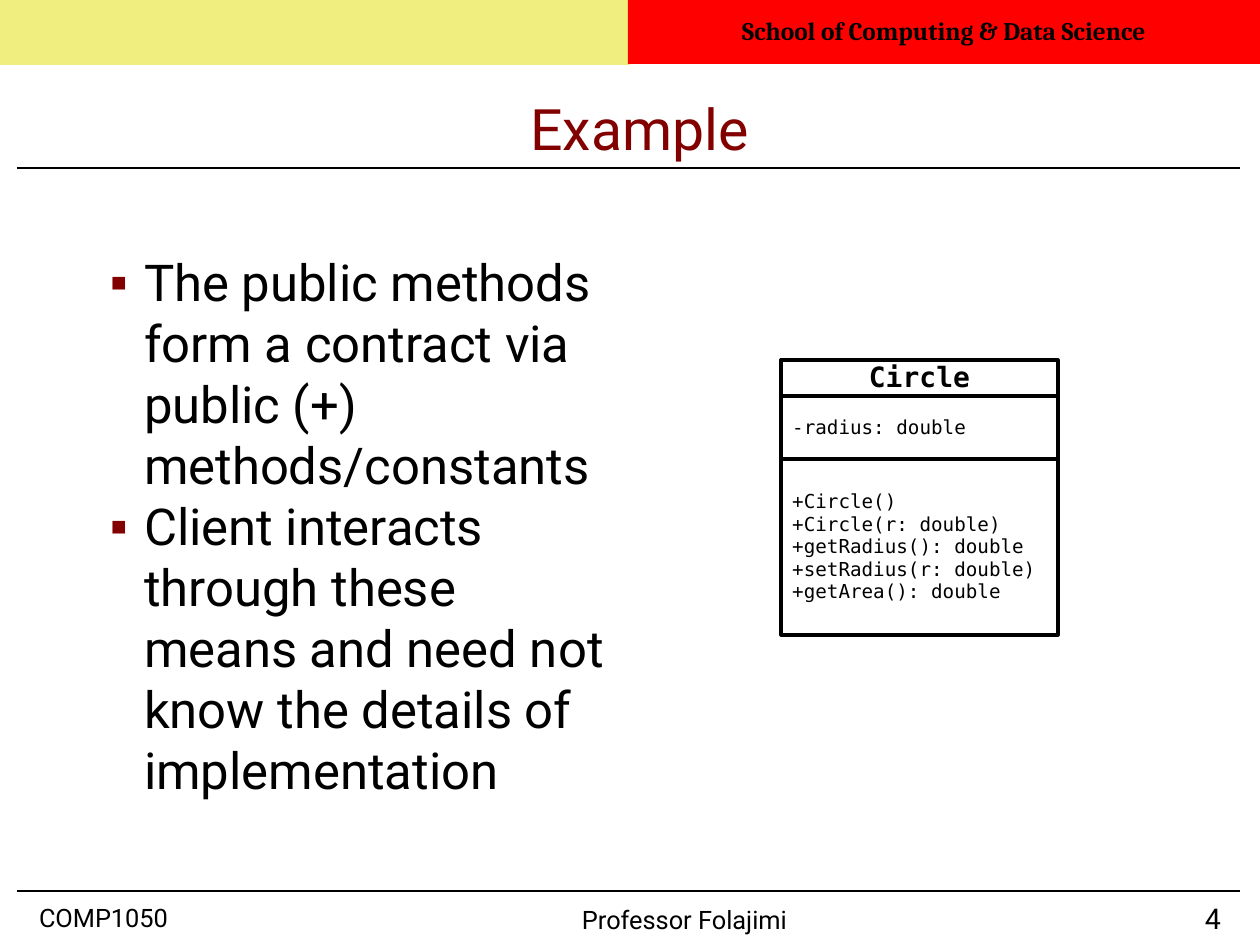
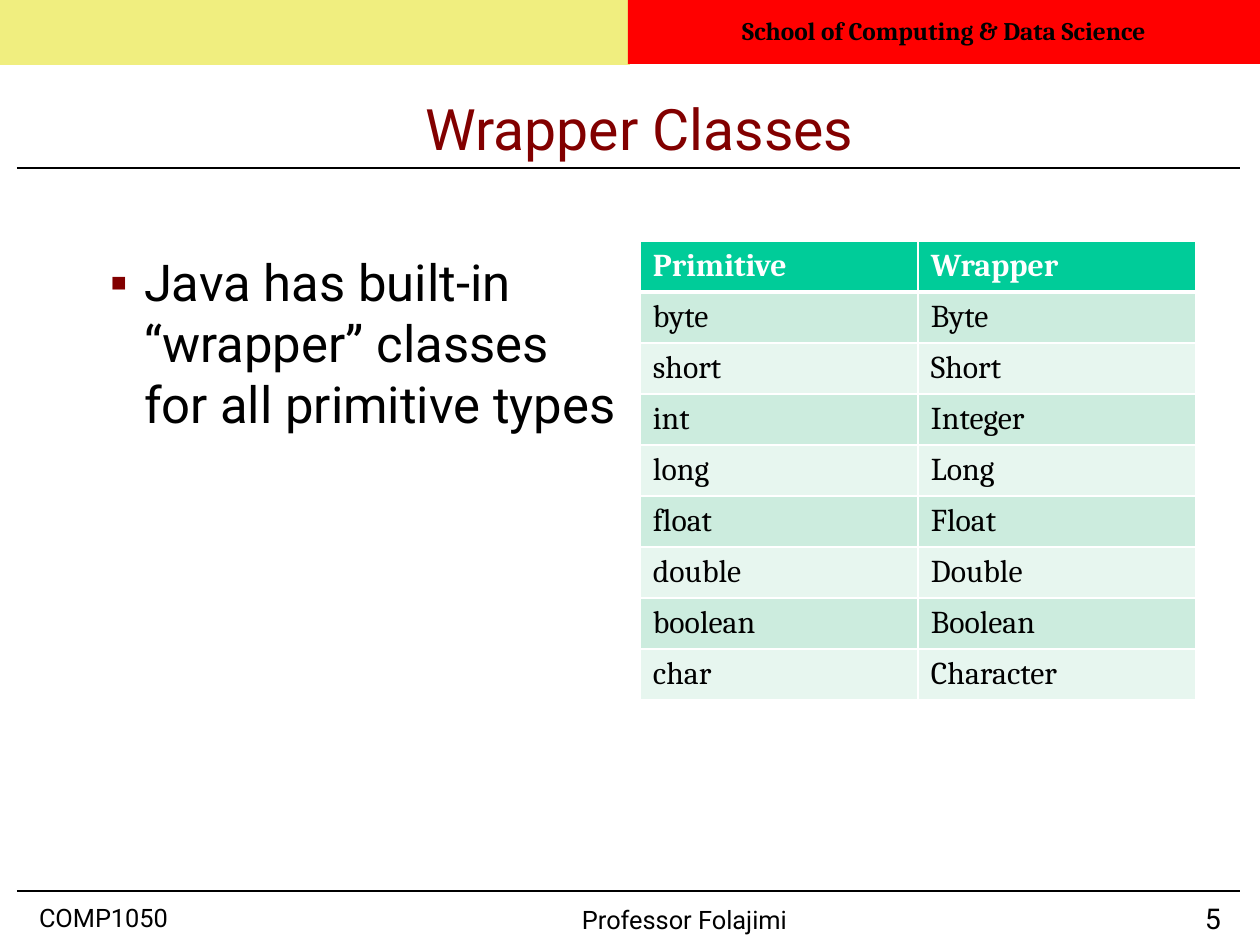
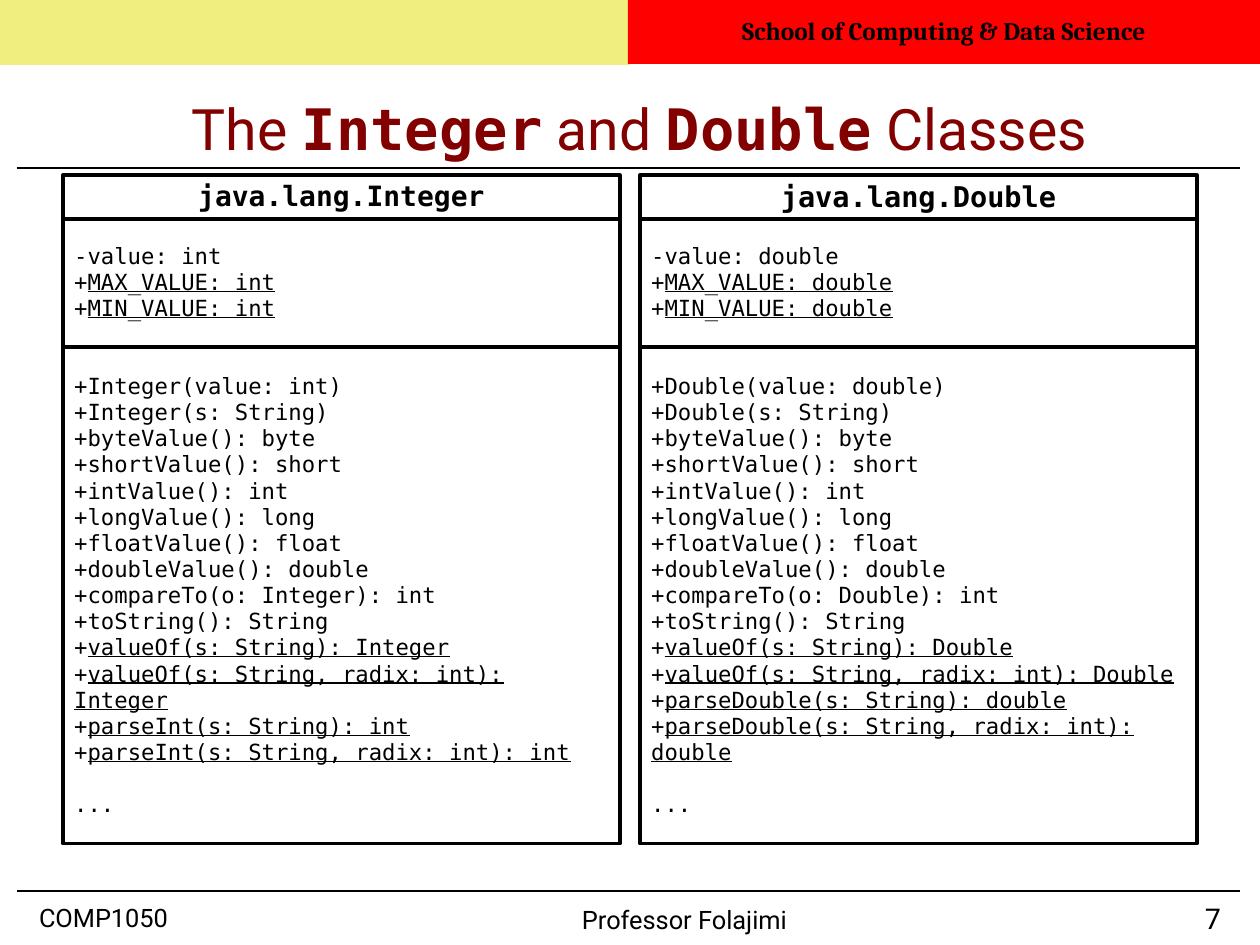
"""Build three lecture slides on class contracts and wrapper classes."""
import dataclasses
import typing

import lxml.etree
import pptx
import pptx.dml.color
import pptx.enum.shapes
import pptx.enum.text
import pptx.oxml
import pptx.oxml.ns
import pptx.shapes.autoshape
import pptx.slide
import pptx.text.text
import pptx.util

SCALE = 8000
ALIGN = pptx.enum.text.PP_ALIGN
MIDDLE = pptx.enum.text.MSO_ANCHOR.MIDDLE
RECT = pptx.enum.shapes.MSO_SHAPE.RECTANGLE
qn = pptx.oxml.ns.qn


@dataclasses.dataclass(frozen=True)
class Theme:
    ink: str = "000000"
    paper: str = "FFFFFF"
    maroon: str = "820000"
    gold: str = "E3DE00"
    red: str = "FF0000"
    green: str = "00CC99"
    bands: tuple[str, str] = ("CCECDE", "E7F6EF")
    sans: str = "Roboto"
    serif: str = "Cambria"
    mono: str = "DejaVu Sans Mono"
    title: float = 36
    body: float = 32
    cell: float = 20
    number: float = 18
    small: float = 16
    rule: float = 1.5
    edge: float = 2


class Box(typing.NamedTuple):
    left: int
    top: int
    width: int
    height: int


class Style(typing.NamedTuple):
    face: str
    size: float
    color: str
    bold: bool = False
    under: bool = False


class Diagram(typing.NamedTuple):
    name: str
    left: int
    top: int
    width: int
    heights: tuple[int, int, int]
    fields: list[str]
    methods: list[str]
    head: float
    size: float


THEME = Theme()
TITLE = Style(THEME.sans, THEME.title, THEME.maroon)
CODE = TITLE._replace(face=THEME.mono, bold=True)
BODY = Style(THEME.sans, THEME.body, THEME.ink)
FOOT = BODY._replace(size=THEME.small)
CELL = Style(THEME.serif, THEME.cell, THEME.ink)
HEAD = CELL._replace(color=THEME.paper, bold=True)
SCHOOL = CELL._replace(size=THEME.small, bold=True)


def px(count: int) -> pptx.util.Emu:
    return pptx.util.Emu(count * SCALE)


def rgb(code: str) -> pptx.dml.color.RGBColor:
    return pptx.dml.color.RGBColor.from_string(code)


def write(par: pptx.text.text._Paragraph, text: str, style: Style,
          marked: Style | None = None, align: ALIGN = ALIGN.LEFT,
          spacing: float = 0.98) -> None:
    """Write text whose parts between bars take the marked style."""
    par.alignment = align
    par.line_spacing = spacing
    for index, part in enumerate(text.split("|")):
        look = marked if marked and index % 2 else style
        run = par.add_run()
        run.text = part
        run.font.name = look.face
        run.font.size = pptx.util.Pt(look.size)
        run.font.bold = look.bold
        run.font.underline = look.under
        run.font.color.rgb = rgb(look.color)


def inset(frame: pptx.text.text.TextFrame, top: int = 0) -> None:
    frame.word_wrap = True
    frame.auto_size = pptx.enum.text.MSO_AUTO_SIZE.NONE
    frame.margin_left = frame.margin_right = frame.margin_bottom = 0
    frame.margin_top = px(top)


def place(shape: typing.Any, box: Box) -> None:
    shape.left, shape.top, shape.width, shape.height = map(px, box)


def block(shapes: typing.Any, box: Box, fill: str,
          edge: str | None = None) -> pptx.shapes.autoshape.Shape:
    shape = shapes.add_shape(RECT, *map(px, box))
    shape.shadow.inherit = False
    shape.fill.solid()
    shape.fill.fore_color.rgb = rgb(fill)
    if edge:
        shape.line.color.rgb = rgb(edge)
        shape.line.width = pptx.util.Pt(THEME.edge)
    else:
        shape.line.fill.background()
    shape.text_frame.word_wrap = True
    shape.text_frame.vertical_anchor = MIDDLE
    return shape


def rule(slide: pptx.slide.Slide, top: int) -> typing.Any:
    line = slide.shapes.add_connector(
        pptx.enum.shapes.MSO_CONNECTOR.STRAIGHT, px(17), px(top), px(1240), px(top))
    line.line.color.rgb = rgb(THEME.ink)
    line.line.width = pptx.util.Pt(THEME.rule)
    lxml.etree.SubElement(line.element.spPr, qn("a:effectLst"))
    return line


def label(slide: pptx.slide.Slide, box: Box, text: str, style: Style,
          align: ALIGN = ALIGN.LEFT) -> typing.Any:
    shape = slide.shapes.add_textbox(*map(px, box))
    inset(shape.text_frame, 2)
    write(shape.text_frame.paragraphs[0], text, style, align=align, spacing=0.93)
    return shape


def brand(slide: pptx.slide.Slide) -> None:
    """Draw the shared bands, rules and footers and move them to the layout."""
    gold = block(slide.shapes, Box(0, 0, 630, 65), THEME.gold)
    tint = gold.element.spPr.find(".//" + qn("a:srgbClr"))
    lxml.etree.SubElement(tint, qn("a:alpha"), val="50000")
    red = block(slide.shapes, Box(628, 0, 632, 64), THEME.red)
    write(red.text_frame.paragraphs[0], "School of Computing & Data Science",
          SCHOOL, align=ALIGN.CENTER)
    shared = [
        gold, red, rule(slide, 168), rule(slide, 891),
        label(slide, Box(39, 903, 221, 32), "COMP1050", FOOT),
        label(slide, Box(582, 905, 221, 32), "Professor Folajimi", FOOT),
    ]
    for shape in shared:
        slide.slide_layout.shapes.element.append(shape.element)


def start(deck: typing.Any, title: str, number: int, points: list[str]) -> pptx.slide.Slide:
    slide = deck.slides.add_slide(deck.slide_layouts[1])
    head, body = slide.shapes.title, slide.placeholders[1]
    place(head, Box(154, 76, 971, 91))
    inset(head.text_frame)
    head.text_frame.vertical_anchor = MIDDLE
    write(head.text_frame.paragraphs[0], title, TITLE, CODE, ALIGN.CENTER, 1.17)
    if points:
        place(body, Box(87, 251, 534, 600))
        inset(body.text_frame)
        body.text_frame.text = "\n".join(points)
        for par, text in zip(body.text_frame.paragraphs, points):
            par.clear()
            write(par, text, BODY, spacing=1.0)
            bullet(par)
    else:
        body.element.getparent().remove(body.element)
    label(slide, Box(1126, 902, 95, 32), str(number),
          FOOT._replace(size=THEME.number), ALIGN.RIGHT)
    return slide


def bullet(par: pptx.text.text._Paragraph) -> None:
    par.space_before = pptx.util.Pt(0)
    props = par._p.get_or_add_pPr()
    props.set("marL", str(int(px(57))))
    props.set("indent", str(int(px(-34))))
    color = lxml.etree.SubElement(props, qn("a:buClr"))
    lxml.etree.SubElement(color, qn("a:srgbClr"), val=THEME.maroon)
    lxml.etree.SubElement(props, qn("a:buChar"), char="▪")


def draw(slide: pptx.slide.Slide, item: Diagram) -> None:
    """Stack the name, field and method boxes of one class."""
    group = slide.shapes.add_group_shape()
    plain = Style(THEME.mono, item.size, THEME.ink)
    name = plain._replace(size=item.head, bold=True)
    parts = (([item.name], name, ALIGN.CENTER),
             (item.fields, plain, ALIGN.LEFT),
             (item.methods, plain, ALIGN.LEFT))
    top = item.top
    for height, (lines, style, align) in zip(item.heights, parts):
        shape = block(group.shapes, Box(item.left, top, item.width, height),
                      THEME.paper, THEME.ink)
        frame = shape.text_frame
        for index, line in enumerate(lines):
            par = frame.add_paragraph() if index else frame.paragraphs[0]
            write(par, line, style, style._replace(under=True), align)
            if line == "...":
                par.space_before = pptx.util.Pt(16)
        top += height


def wrapper(name: str, kind: str, short: str, left: int, head: float) -> Diagram:
    """Describe a numeric wrapper class; a bar opens a static member."""
    kinds = ("byte", "short", "int", "long", "float", "double")
    fields = [f"-value: {kind}", f"+|MAX_VALUE: {kind}", f"+|MIN_VALUE: {kind}"]
    methods = [f"+{name}(value: {kind})", f"+{name}(s: String)"]
    methods += [f"+{each}Value(): {each}" for each in kinds]
    methods += [f"+compareTo(o: {name}): int", "+toString(): String"]
    methods += [f"+|{call}(s: String{radix}): {result}"
                for call, result in (("valueOf", name), (f"parse{short}", kind))
                for radix in ("", ", radix: int")]
    return Diagram(f"java.lang.{name}", left, 175, 557, (44, 128, 497),
                   fields, methods + ["..."], head, 14)


def border(cell: typing.Any, header: bool) -> None:
    props = cell._tc.get_or_add_tcPr()
    for side in "LRTB":
        width = pptx.util.Pt(3 if header and side == "B" else 1)
        line = lxml.etree.SubElement(props, qn(f"a:ln{side}"), w=str(int(width)))
        fill = lxml.etree.SubElement(line, qn("a:solidFill"))
        lxml.etree.SubElement(fill, qn("a:srgbClr"), val=THEME.paper)


def grid(slide: pptx.slide.Slide, box: Box, rows: list[tuple[str, str]]) -> None:
    table = slide.shapes.add_table(len(rows), len(rows[0]), *map(px, box)).table
    table.horz_banding = False
    for index, row in enumerate(rows):
        header = index == 0
        for cell, text in zip(table.rows[index].cells, row):
            border(cell, header)
            cell.margin_left = cell.margin_right = px(13)
            cell.margin_top = cell.margin_bottom = px(7)
            cell.fill.solid()
            cell.fill.fore_color.rgb = rgb(
                THEME.green if header else THEME.bands[(index - 1) % 2])
            write(cell.text_frame.paragraphs[0], text, HEAD if header else CELL)


def main() -> None:
    deck = pptx.Presentation()
    deck.slide_width, deck.slide_height = px(1260), px(945)

    slide = start(deck, "Example", 4, [
        "The public methods form a contract via public (+) methods/constants",
        "Client interacts through these means and need not know the details of implementation",
    ])
    brand(slide)
    draw(slide, Diagram(
        "Circle", 781, 360, 277, (36, 63, 176), ["-radius: double"],
        ["+Circle()", "+Circle(r: double)", "+getRadius(): double",
         "+setRadius(r: double)", "+getArea(): double"], 17.6, 12.1))

    slide = start(deck, "Wrapper Classes", 5, [
        "Java has built-in “wrapper” classes for all primitive types"])
    grid(slide, Box(640, 241, 556, 459), [
        ("Primitive", "Wrapper"), ("byte", "Byte"), ("short", "Short"),
        ("int", "Integer"), ("long", "Long"), ("float", "Float"),
        ("double", "Double"), ("boolean", "Boolean"), ("char", "Character")])

    slide = start(deck, "The |Integer| and |Double| Classes", 7, [])
    draw(slide, wrapper("Integer", "int", "Int", 63, 17.6))
    draw(slide, wrapper("Double", "double", "Double", 640, 18))

    deck.save("out.pptx")


if __name__ == "__main__":
    main()
